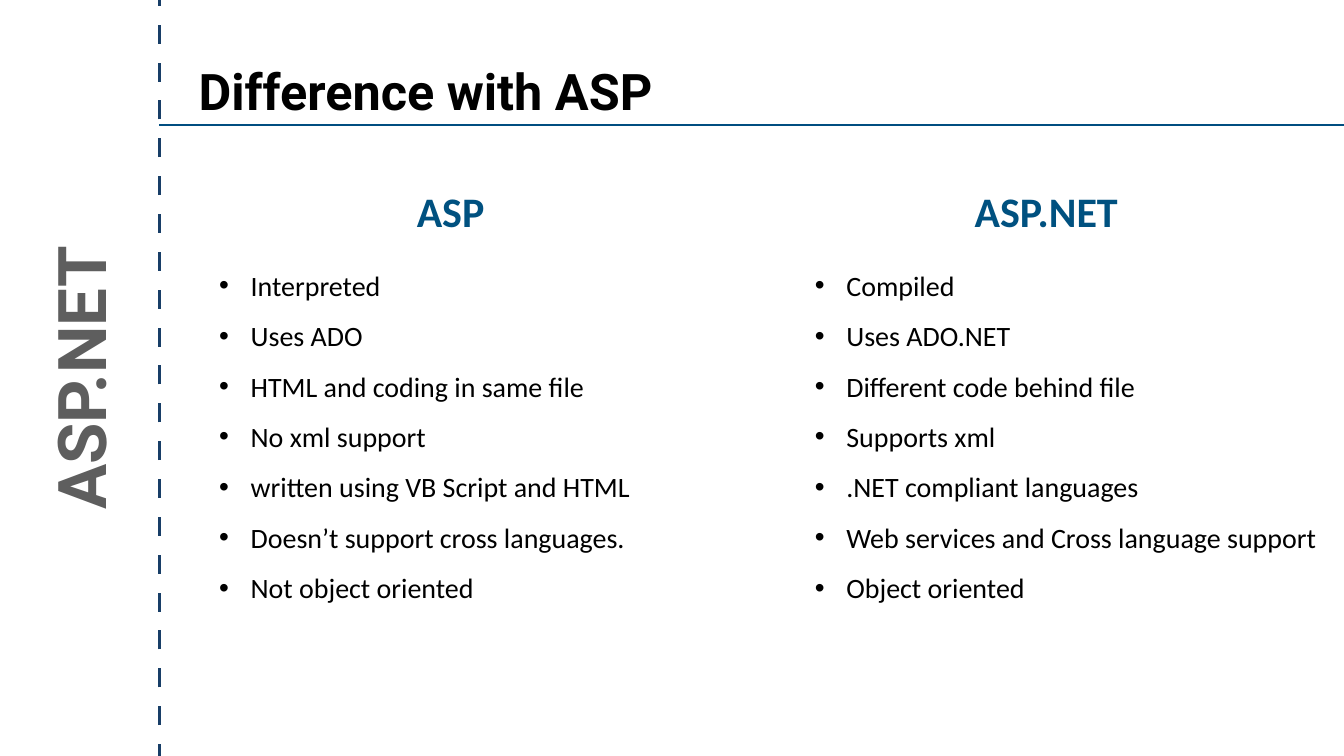
from pptx import Presentation
from pptx.dml.color import RGBColor
from pptx.enum.shapes import MSO_CONNECTOR
from pptx.enum.text import MSO_ANCHOR, MSO_AUTO_SIZE, PP_ALIGN
from pptx.oxml.ns import qn
from pptx.util import Pt
from lxml.etree import SubElement

# Content
SIDE_LABEL = "ASP.NET"
TITLE = "Difference with ASP"
# heading, left edge, list width, points
COLUMNS = [
    ("ASP", 306, 675.5, [
        "Interpreted",
        "Uses ADO",
        "HTML and coding in same file",
        "No xml support",
        "written using VB Script and HTML",
        "Doesn’t support cross languages.",
        "Not object oriented",
    ]),
    ("ASP.NET", 1157, 762.5, [
        "Compiled",
        "Uses ADO.NET",
        "Different code behind file",
        "Supports xml",
        ".NET compliant languages",
        "Web services and Cross language support",
        "Object oriented",
    ]),
]

# Layout, in points
WIDTH, HEIGHT = 1920, 1080
DIVIDER_X, RULE_Y = 227.5, 178.5
OVERHANG = 10
HEADING_TOP, HEADING_WIDTH, HEADING_HEIGHT = 226, 675.5, 105
LIST_TOP, LIST_HEIGHT = 355.7, 516
BULLET_INDENT = 45


def color(value):
    return RGBColor.from_string(value)


def add_line(page, start, end, line_color, width):
    line = page.shapes.add_connector(
        MSO_CONNECTOR.STRAIGHT, *[Pt(n) for n in (*start, *end)])
    line.line.color.rgb = color(line_color)
    line.line.width = Pt(width)
    SubElement(line._element.spPr, qn("a:effectLst"))
    return line


def set_dashes(line, dash, gap):
    """Dash and gap are multiples of the line width."""
    pattern = SubElement(line.line._get_or_add_ln(), qn("a:custDash"))
    SubElement(pattern, qn("a:ds"), d=str(dash * 100000), sp=str(gap * 100000))


def add_bullet(para):
    properties = para._p.get_or_add_pPr()
    properties.set("marL", str(Pt(BULLET_INDENT)))
    properties.set("indent", str(-Pt(BULLET_INDENT)))
    SubElement(properties, qn("a:buFont"), typeface="Arial")
    SubElement(properties, qn("a:buChar"), char="•")


def add_text(page, place, lines, size, font, text_color, bold=False,
             align=PP_ALIGN.LEFT, spacing=1.0, wrap=True, bullets=False):
    box = page.shapes.add_textbox(*[Pt(n) for n in place])
    frame = box.text_frame
    frame.word_wrap = wrap
    frame.auto_size = MSO_AUTO_SIZE.SHAPE_TO_FIT_TEXT
    frame.text = "\n".join(lines)
    for para in frame.paragraphs:
        para.alignment = align
        para.line_spacing = spacing
        para.font.size = Pt(size)
        para.font.name = font
        para.font.bold = bold
        para.font.color.rgb = color(text_color)
        if bullets:
            add_bullet(para)
    return box


def main():
    deck = Presentation()
    deck.slide_width, deck.slide_height = Pt(WIDTH), Pt(HEIGHT)
    page = deck.slides.add_slide(deck.slide_layouts[6])

    # Dashed divider and title rule
    divider = add_line(page, (DIVIDER_X, HEIGHT + OVERHANG),
                       (DIVIDER_X, -OVERHANG), "183E67", 4.5)
    set_dashes(divider, 6, 6)
    add_line(page, (DIVIDER_X, RULE_Y), (WIDTH, RULE_Y), "004D80", 2)

    # Side label, reading upwards
    label = add_text(page, (-101.5, 476, 431.5, 127.5), [SIDE_LABEL], 96,
                     "Roboto", "5E5E5E", bold=True, align=PP_ALIGN.CENTER,
                     wrap=False)
    label.rotation = 270
    frame = label.text_frame
    frame.vertical_anchor = MSO_ANCHOR.MIDDLE
    frame.margin_left = frame.margin_right = Pt(6)
    frame.margin_top = frame.margin_bottom = Pt(6)

    # Title
    add_text(page, (276.5, 82, 705, 94.5), [TITLE], 72, "Roboto", "000000",
             bold=True, wrap=False)

    # Two compared columns
    for heading, left, list_width, points in COLUMNS:
        add_text(page, (left, HEADING_TOP, HEADING_WIDTH, HEADING_HEIGHT),
                 [heading], 60, "Calibri", "005180", bold=True,
                 align=PP_ALIGN.CENTER, spacing=1.5)
        add_text(page, (left, LIST_TOP, list_width, LIST_HEIGHT), points, 40,
                 "Calibri", "000000", spacing=1.5, bullets=True)

    deck.save("out.pptx")


if __name__ == "__main__":
    main()
